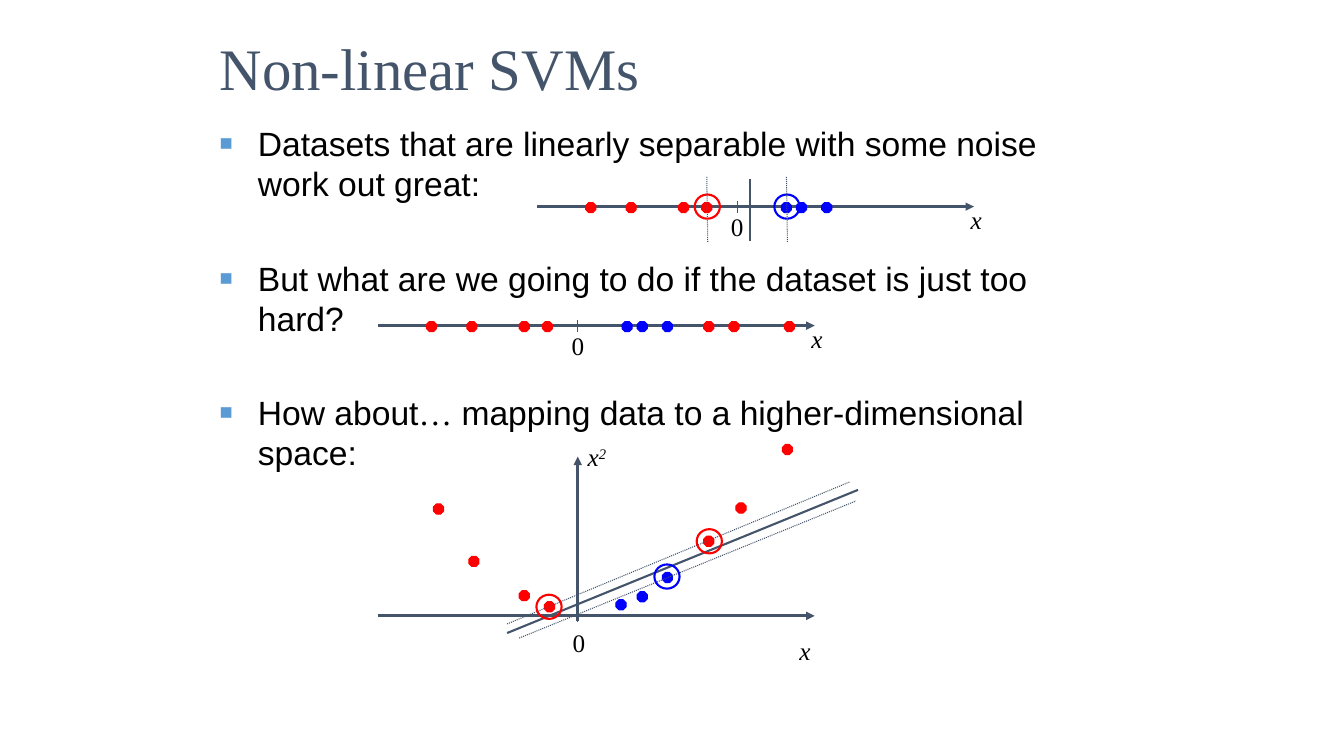
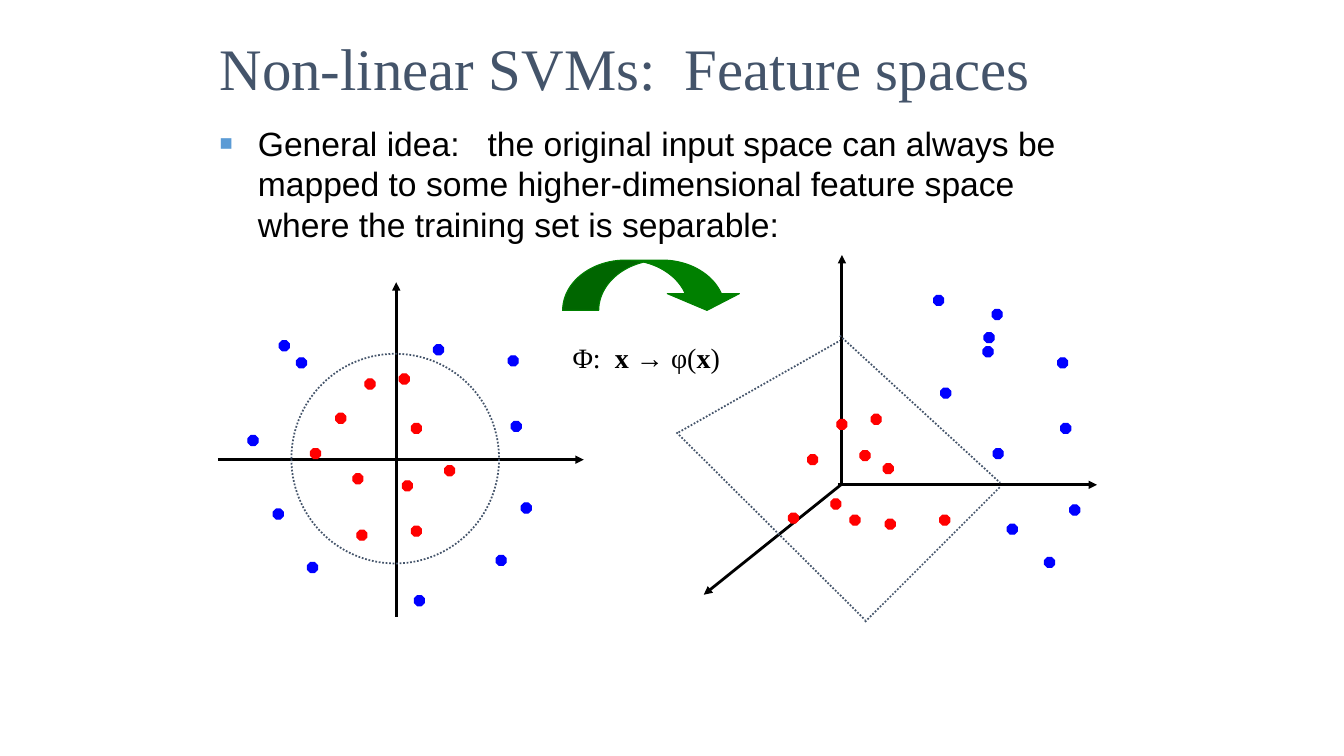
from dataclasses import dataclass
from lxml import etree
from pptx import Presentation
from pptx.dml.color import RGBColor
from pptx.enum.dml import MSO_LINE
from pptx.enum.shapes import MSO_CONNECTOR, MSO_SHAPE
from pptx.enum.text import MSO_ANCHOR
from pptx.oxml.ns import qn
from pptx.util import Inches, Pt

DOTTED = MSO_LINE.ROUND_DOT
STRAIGHT = MSO_CONNECTOR.STRAIGHT
OCTAGON = MSO_SHAPE.OCTAGON
OVAL = MSO_SHAPE.OVAL
ARROW = MSO_SHAPE.CURVED_DOWN_ARROW
MIDDLE = MSO_ANCHOR.MIDDLE
TOP = MSO_ANCHOR.TOP


@dataclass(frozen=True)
class Theme:
    slate: str = "44546A"
    black: str = "000000"
    red: str = "FF0000"
    blue: str = "0000FF"
    green: str = "008000"
    mark: str = "5B9BD5"
    serif: str = "Times New Roman"
    sans: str = "Arial"
    title: int = 42
    body: int = 24
    map: int = 20
    label: int = 18
    thin: float = 0.75
    dots: float = 1.25
    mid: float = 1.5
    bold: float = 2
    dot: float = 0.1


T = Theme()

LINEAR = {
    "title": "Non-linear SVMs",
    "width": 5.25,
    "body": [
        [("Datasets that are linearly separable with some noise work out great:", T.sans)],
        [("But what are we going to do if the dataset is just too hard?", T.sans)],
        [("How about", T.sans), ("\u2026", T.serif),
         (" mapping data to a higher-dimensional space:", T.sans)],
    ],
}
SPACES = {
    "title": "Non-linear SVMs:  Feature spaces",
    "width": 8.5,
    "body": [[("General idea:   the original input space can always be mapped to some "
               "higher-dimensional feature space where the training set is separable:", T.sans)]],
}

NEAR = [0.48, 0.88, 1.4, 1.63]
CORE = [2.42, 2.57, 2.82]
FAR = [3.23, 3.48, 4.03]
ROWS = [(5.33, 2.05, NEAR, CORE), (3.75, 3.23, NEAR + FAR, CORE)]
MARGIN = [(6.89, T.red), (7.68, T.blue)]

CURVE = {
    T.red: [(4.3, 5), (4.65, 5.52), (5.15, 5.86), (5.4, 5.97),
            (6.98, 5.32), (7.3, 4.99), (7.76, 4.41)],
    T.blue: [(6.11, 5.95), (6.32, 5.87), (6.57, 5.68)],
}
RINGS = [(6.91, 5.25, T.red), (6.49, 5.6, T.blue), (5.32, 5.9, T.red)]
BOUNDS = [((5.03, 6.19), (8.43, 4.78)), ((5.15, 6.33), (8.49, 4.97))]

PLANE = {
    T.red: [(3.96, 3.71), (3.33, 4.1), (3.5, 4.7), (4.08, 5.22), (3.62, 3.76),
            (3.08, 4.45), (3.54, 5.26), (4.08, 4.2), (4.41, 4.62), (3.99, 4.77)],
    T.blue: [(5.07, 4.18), (4.92, 5.51), (2.46, 4.32), (4.11, 5.91), (5.17, 4.99),
             (3.05, 5.58), (2.71, 5.05), (2.77, 3.38), (4.3, 3.42), (2.94, 3.55),
             (5.04, 3.53)],
}
SOLID = {
    T.red: [(8.64, 4.11), (8.01, 4.51), (8.43, 5.11), (9.32, 5.11), (8.3, 4.16),
            (8.53, 4.47), (8.78, 5.15), (8.76, 4.6), (8.24, 4.95), (7.82, 5.09)],
    T.blue: [(10.52, 4.2), (10.36, 5.53), (9.84, 3.07), (9.85, 4.45), (10.61, 5.01),
             (9.33, 3.85), (9.99, 5.2), (9.76, 3.3), (9.75, 3.44), (9.26, 2.93),
             (10.49, 3.55)],
}
AXES = [((3.93, 6.12), (3.93, 2.8)), ((2.16, 4.56), (5.79, 4.56)),
        ((8.35, 4.79), (8.35, 2.53)), ((8.31, 4.81), (10.88, 4.81)),
        ((8.34, 4.81), (6.98, 5.9))]
SHEET = [((8.33, 3.33), (9.92, 4.79)), ((8.58, 6.17), (9.92, 4.83)),
         ((6.73, 4.29), (8.33, 3.38)), ((6.71, 4.29), (8.58, 6.15))]
BEND = [0.717, 1.433, 0.333]
MAP = [("\u03a6:  ", False), ("x \u2192 ", True), ("\u03c6(", False),
       ("x", True), (")", False)]


def rgb(color):
    return RGBColor.from_string(color)


def frame(slide, x, y, w, h, anchor=TOP):
    box = slide.shapes.add_textbox(Inches(x), Inches(y), Inches(w), Inches(h))
    text = box.text_frame
    text.word_wrap = True
    text.vertical_anchor = anchor
    return text


def write(para, words, size, face=T.serif, color=T.black, bold=False, italic=False):
    run = para.add_run()
    run.text = words
    font = run.font
    font.size, font.name = Pt(size), face
    font.bold, font.italic = bold, italic
    font.color.rgb = rgb(color)
    return run


def bullet(para):
    props = para._p.get_or_add_pPr()
    props.set("marL", str(Inches(0.38)))
    props.set("indent", str(-Inches(0.38)))
    tint = etree.SubElement(props, qn("a:buClr"))
    etree.SubElement(tint, qn("a:srgbClr"), val=T.mark)
    etree.SubElement(props, qn("a:buSzPct"), val="65000")
    etree.SubElement(props, qn("a:buFont"), typeface=T.sans)
    etree.SubElement(props, qn("a:buChar"), char="\u25a0")


def start(deck, topic):
    slide = deck.slides.add_slide(deck.slide_layouts[6])
    head = frame(slide, 2.08, 0.25, topic["width"], 0.83, MIDDLE)
    write(head.paragraphs[0], topic["title"], T.title, color=T.slate)
    body = frame(slide, 2.08, 1.17, 9, 5.5)
    for i, runs in enumerate(topic["body"]):
        para = body.add_paragraph() if i else body.paragraphs[0]
        para.space_before = Pt(38.5 if i else 3)
        bullet(para)
        for words, face in runs:
            write(para, words, T.body, face)
    return slide


def line(slide, a, b, color=T.slate, width=T.thin, dash=None, tip=False):
    link = slide.shapes.add_connector(STRAIGHT, *[Inches(v) for v in (*a, *b)])
    link.line.color.rgb = rgb(color)
    link.line.width = Pt(width)
    if dash:
        link.line.dash_style = dash
    props = link._element.spPr
    if tip:
        etree.SubElement(props.find(qn("a:ln")), qn("a:tailEnd"), type="triangle")
    etree.SubElement(props, qn("a:effectLst"))


def shape(slide, kind, x, y, w, h, color, width=T.thin, fill=True, dash=None):
    item = slide.shapes.add_shape(kind, Inches(x), Inches(y), Inches(w), Inches(h))
    item.shadow.inherit = False
    if fill:
        item.fill.solid()
        item.fill.fore_color.rgb = rgb(color)
    else:
        item.fill.background()
    item.line.color.rgb = rgb(color)
    item.line.width = Pt(width)
    if dash:
        item.line.dash_style = dash
    return item


def plot(slide, groups):
    for color, spots in groups.items():
        for x, y in spots:
            shape(slide, OCTAGON, x, y, T.dot, T.dot, color)


def ring(slide, x, y, color):
    shape(slide, OVAL, x, y, 0.25, 0.24, color, T.mid, False)


def label(slide, x, y, words, width=0.5, italic=True):
    para = frame(slide, x, y, width, 0.4).paragraphs[0]
    write(para, words, T.label, italic=italic)
    return para


def axis(slide, x, y):
    line(slide, (x, y), (x + 4.33, y), width=T.bold, tip=True)
    line(slide, (x + 1.98, y - 0.06), (x + 1.98, y + 0.06))


def linear(deck):
    slide = start(deck, LINEAR)
    for x, y, reds, blues in ROWS:
        axis(slide, x, y)
        plot(slide, {T.red: [(x + d, y - 0.04) for d in reds],
                     T.blue: [(x + d, y - 0.04) for d in blues]})
        label(slide, x + 1.82, y, "0", 0.38, False)
        label(slide, x + 4.2, y - 0.07, "x")
    line(slide, (7.44, 1.78), (7.44, 2.39), width=T.mid)
    for x, color in MARGIN:
        ring(slide, x, 1.93, color)
        line(slide, (x + 0.13, 2.4), (x + 0.12, 1.75), dash=DOTTED)

    axis(slide, 3.75, 6.11)
    line(slide, (5.73, 6.16), (5.73, 4.53), width=T.bold, tip=True)
    plot(slide, CURVE)
    label(slide, 5.58, 6.17, "0", 0.38, False)
    label(slide, 7.83, 6.25, "x")
    power = write(label(slide, 5.73, 4.33, "x"), "2", T.label, italic=True)
    power.font._element.set("baseline", "30000")
    line(slide, (5.03, 6.28), (8.51, 4.86), width=T.mid)
    for a, b in BOUNDS:
        line(slide, a, b, dash=DOTTED)
    for x, y, color in RINGS:
        ring(slide, x, y, color)


def spaces(deck):
    slide = start(deck, SPACES)
    for a, b in AXES:
        line(slide, a, b, T.black, T.bold, tip=True)
    plot(slide, PLANE)
    shape(slide, OVAL, 2.89, 3.51, 2.06, 2.08, T.slate, T.dots, False, DOTTED)
    plot(slide, SOLID)
    for a, b in SHEET:
        line(slide, a, b, width=T.dots, dash=DOTTED)
    arrow = shape(slide, ARROW, 5.58, 2.58, 1.79, 0.5, T.green)
    for i, bend in enumerate(BEND):
        arrow.adjustments[i] = bend
    para = frame(slide, 5.58, 3.33, 2.08, 0.43).paragraphs[0]
    for words, bold in MAP:
        write(para, words, T.map, bold=bold)


deck = Presentation()
deck.slide_width, deck.slide_height = Inches(13.33), Inches(7.5)
linear(deck)
spaces(deck)
deck.save("out.pptx")
